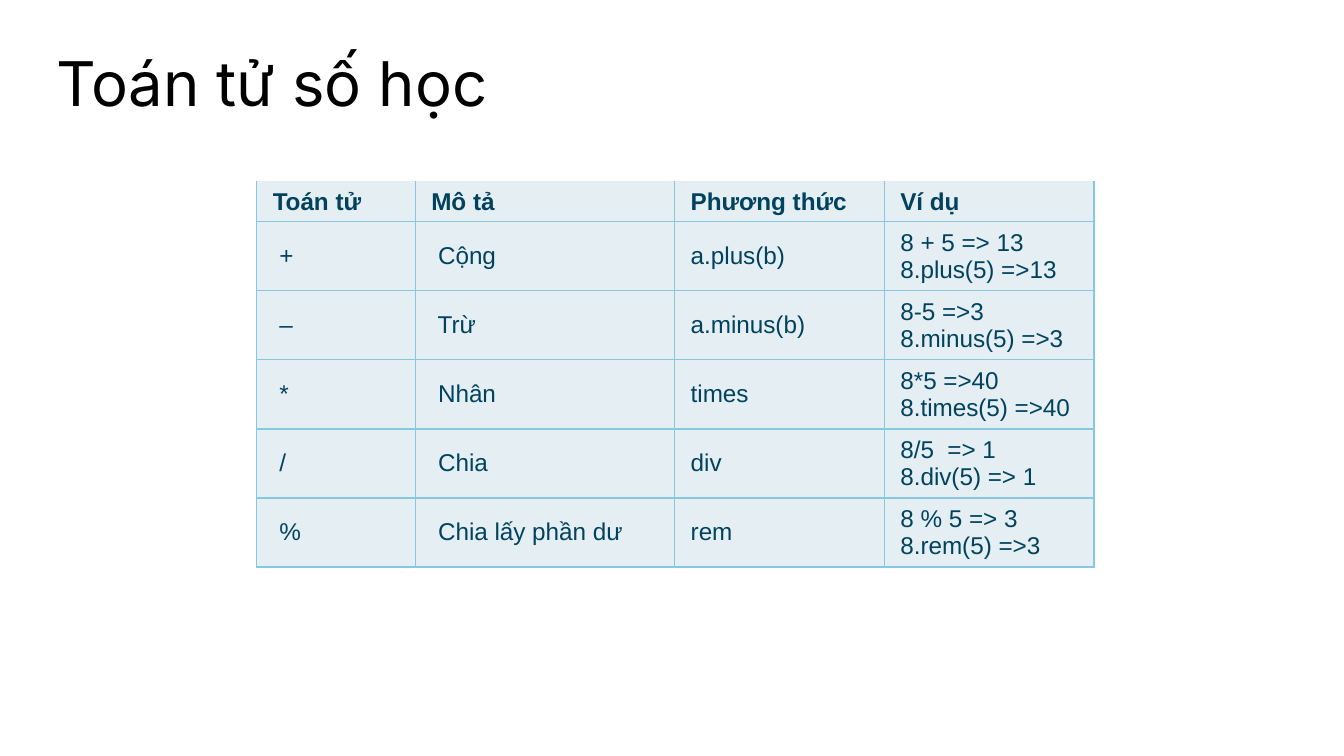
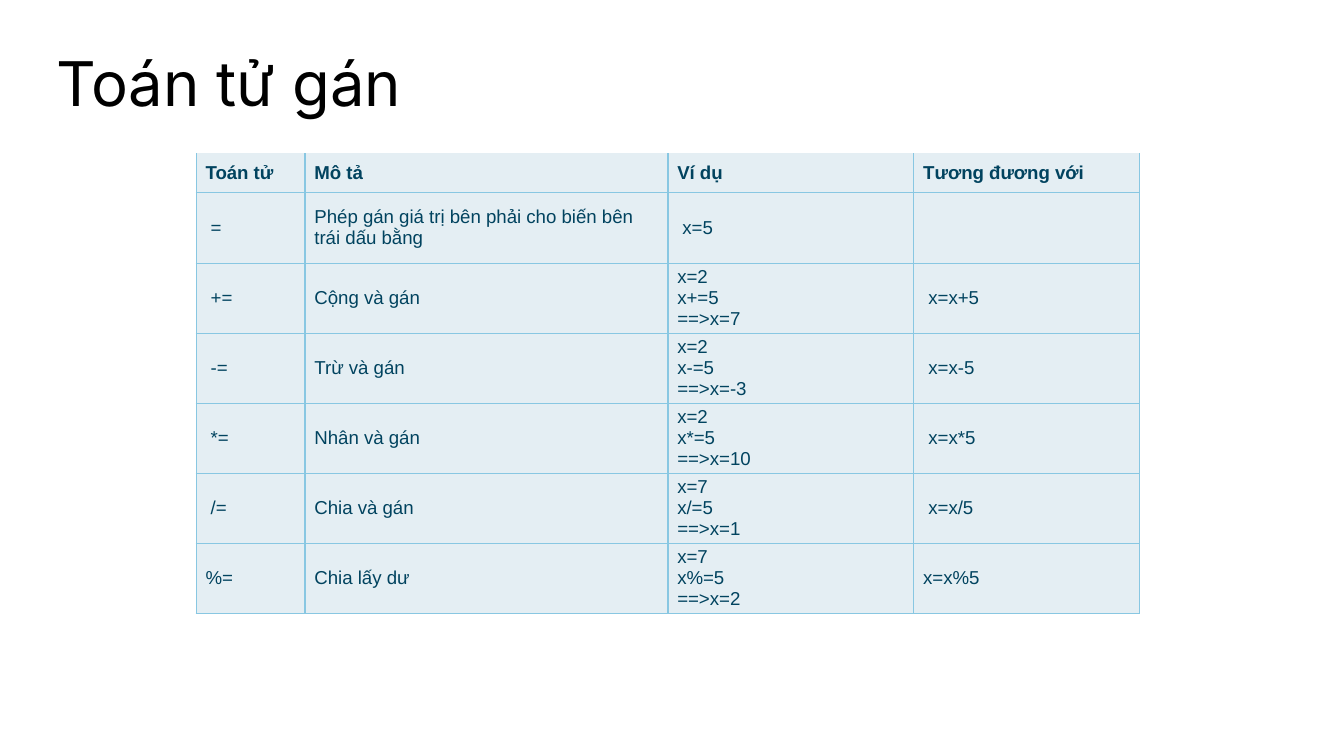
from lxml.etree import SubElement as Sub
from pptx import Presentation
from pptx.dml.color import RGBColor as Rgb
from pptx.enum.text import MSO_ANCHOR as Anchor
from pptx.oxml.ns import qn
from pptx.util import Inches, Pt

HUES = {"title": "000000", "text": "01435F", "cell": "E4EEF3", "line": "88C7E2"}

MATH = [
    ["Toán tử", "Mô tả", "Phương thức", "Ví dụ"],
    [" +", " Cộng", "a.plus(b)", "8 + 5 => 13\n8.plus(5) =>13"],
    [" –", " Trừ", "a.minus(b)", "8-5 =>3\n8.minus(5) =>3"],
    [" *", " Nhân", "times", "8*5 =>40\n8.times(5) =>40"],
    [" /", " Chia", "div", "8/5  => 1\n8.div(5) => 1"],
    [" %", " Chia lấy phần dư", "rem", "8 % 5 => 3\n8.rem(5) =>3"],
]

ASSIGN = [
    ["Toán tử", "Mô tả", "Ví dụ", "Tương đương với"],
    [" =", "Phép gán giá trị bên phải cho biến bên trái dấu bằng", " x=5", ""],
    [" +=", "Cộng và gán", "x=2\nx+=5\n==>x=7", " x=x+5"],
    [" -=", "Trừ và gán", "x=2\nx-=5\n==>x=-3", " x=x-5"],
    [" *=", "Nhân và gán", "x=2\nx*=5\n==>x=10", " x=x*5"],
    [" /=", "Chia và gán", "x=7\nx/=5\n==>x=1", " x=x/5"],
    ["%=", "Chia lấy dư", "x=7\nx%=5\n==>x=2", "x=x%5"],
]


def write(frame, text, size, hue, font="Arial", bold=False, lead=None):
    """Fill a text frame, one paragraph to each line of text."""
    frame.word_wrap = True
    frame.text = text
    for para in frame.paragraphs:
        if lead:
            para.line_spacing = lead
        for face in [para.font] + [run.font for run in para.runs]:
            face.name, face.size, face.bold = font, Pt(size), bold
            face.color.rgb = Rgb.from_string(HUES[hue])


def pad(part, wide, high):
    """Set the inner margins of a cell or text frame."""
    part.margin_left = part.margin_right = Inches(wide)
    part.margin_top = part.margin_bottom = Inches(high)


def rule(cell, head):
    """Draw the borders of a cell, leaving the top of the head open."""
    props = cell._tc.get_or_add_tcPr()
    for side in "LRTB":
        line = Sub(props, qn(f"a:ln{side}"), w=str(Pt(0.75)))
        if head and side == "T":
            Sub(line, qn("a:noFill"))
        else:
            Sub(Sub(line, qn("a:solidFill")), qn("a:srgbClr"), val=HUES["line"])


def title(slide, text, box=(0.32, 0.32, 9.3, 0.5)):
    """Place the slide title in its box."""
    frame = slide.shapes.add_textbox(*map(Inches, box)).text_frame
    pad(frame, 0.1, 0.1)
    frame.vertical_anchor = Anchor.TOP
    write(frame, text, 33, "title", font="Inter", lead=0.85)


def grid(slide, data, spot, cols, rows, size, inset):
    """Place a table of operators with its top left corner at the spot."""
    box = (*spot, sum(cols), sum(rows))
    table = slide.shapes.add_table(len(rows), len(cols), *map(Inches, box)).table
    table.horz_banding = False
    for col, wide in zip(table.columns, cols):
        col.width = Inches(wide)
    for r, (row, high) in enumerate(zip(table.rows, rows)):
        row.height = Inches(high)
        for cell, text in zip(row.cells, data[r]):
            rule(cell, r == 0)
            cell.fill.solid()
            cell.fill.fore_color.rgb = Rgb.from_string(HUES["cell"])
            cell.vertical_anchor = Anchor.MIDDLE
            pad(cell, *inset)
            write(cell.text_frame, text, size, "text", bold=r == 0)


def page(deck, text, **table):
    """Add a slide with a title and a table."""
    slide = deck.slides.add_slide(deck.slide_layouts[6])
    title(slide, text)
    grid(slide, **table)


def main():
    """Build and save the deck."""
    deck = Presentation()
    deck.slide_width, deck.slide_height = Inches(10), Inches(10) * 9 // 16
    page(deck, "Toán tử số học", data=MATH, spot=(1.91, 1.35),
         cols=[1.18, 1.93, 1.56, 1.56], rows=[0.3] + [0.51] * 5,
         size=13, inset=(0.12, 0.04))
    page(deck, "Toán tử gán", data=ASSIGN, spot=(1.46, 1.14),
         cols=[0.81, 2.7, 1.83, 1.68], rows=[0.29, 0.53] + [0.41] * 5,
         size=10, inset=(0.07, 0.01))
    deck.save("out.pptx")


if __name__ == "__main__":
    main()
